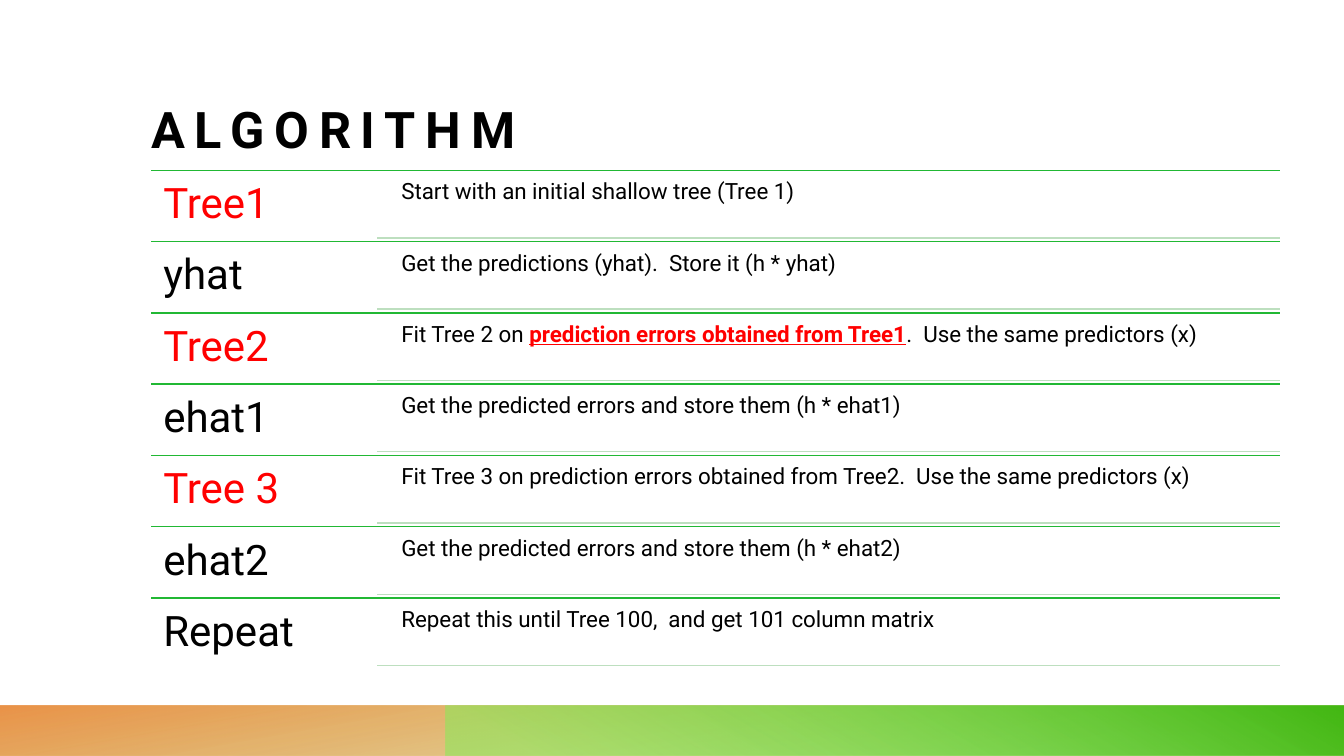
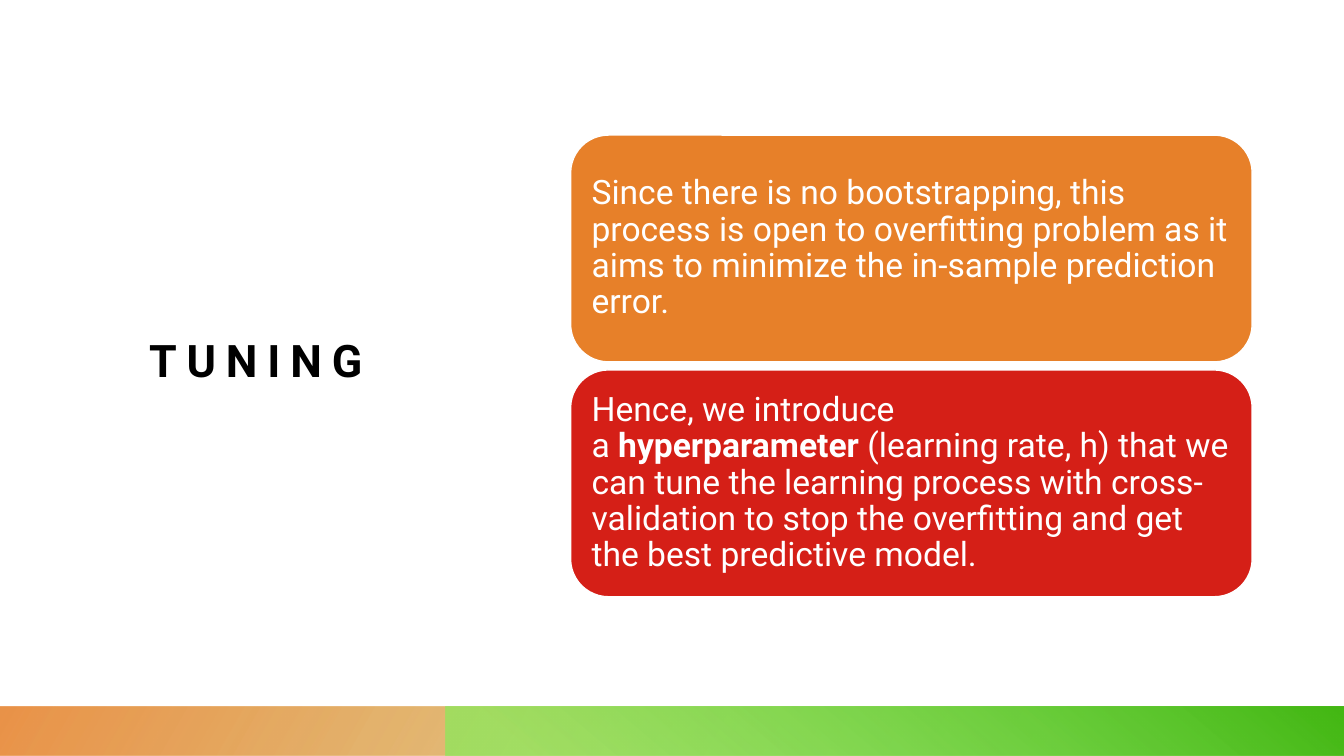
from lxml.etree import SubElement
from pptx import Presentation
from pptx.dml.color import RGBColor
from pptx.enum.shapes import MSO_CONNECTOR as Connector, MSO_SHAPE as Shape
from pptx.enum.text import MSO_ANCHOR as Anchor, PP_ALIGN as Align
from pptx.oxml.ns import qn
from pptx.util import Inches, Pt

FONT = "Roboto"
BLACK, WHITE, RED = "000000", "FFFFFF", "FF0000"
GREEN, PALE_GREEN, ORANGE, DEEP_RED = "21B834", "BDDFBF", "E78029", "D51F17"
PAGE_WIDTH, PAGE_HEIGHT = 13.33, 7.5
BLANK_LAYOUT = 6
HARD_SPACE = chr(160)

STEPS = [
    ("Tree1", RED, ["Start with an initial shallow tree (Tree 1)"]),
    ("yhat", BLACK, ["Get the predictions (yhat).  Store it (h * yhat)"]),
    ("Tree2", RED, [
        "Fit Tree 2 on ",
        ("prediction errors obtained from Tree1",
         {"color": RED, "bold": True, "underline": True}),
        ".  Use the same predictors (x)",
    ]),
    ("ehat1", BLACK, ["Get the predicted errors and store them (h * ehat1)"]),
    ("Tree 3", RED, ["Fit Tree 3 on prediction errors obtained from Tree2.  "
                     "Use the same predictors (x)"]),
    ("ehat2", BLACK, ["Get the predicted errors and store them (h * ehat2)"]),
    ("Repeat", BLACK, ["Repeat this until Tree 100,  and get 101 column matrix"]),
]

CARDS = [
    (ORANGE, ["Since there is no bootstrapping, this process is open to overfitting "
              "problem as it aims to minimize the in-sample prediction error."]),
    (DEEP_RED, [
        "Hence, we introduce a" + HARD_SPACE,
        ("hyperparameter", {"bold": True}),
        HARD_SPACE + "(learning rate, h) that we can tune the learning process with "
        "cross-validation to stop the overfitting and get the best predictive model.",
    ]),
]


def rgb(hex_color):
    return RGBColor.from_string(hex_color)


def set_gradient(shape, stops, angle):
    """Fill with (position %, colour, opacity %) stops; angle is clockwise degrees."""
    shape.fill.gradient()
    gradient = shape._element.spPr.find(qn("a:gradFill"))
    for child in list(gradient):
        gradient.remove(child)
    stop_list = SubElement(gradient, qn("a:gsLst"))
    for position, color, opacity in stops:
        stop = SubElement(stop_list, qn("a:gs"), pos=str(position * 1000))
        tint = SubElement(stop, qn("a:srgbClr"), val=color)
        SubElement(tint, qn("a:alpha"), val=str(opacity * 1000))
    SubElement(gradient, qn("a:lin"), ang=str(angle * 60000), scaled="0")


class Deck:
    def __init__(self):
        self.presentation = Presentation()
        self.presentation.slide_width = Inches(PAGE_WIDTH)
        self.presentation.slide_height = Inches(PAGE_HEIGHT)
        self.slide = None

    def new_slide(self, band_top=7, orange_angle=100, green_angle=240, green_opacity=55):
        layout = self.presentation.slide_layouts[BLANK_LAYOUT]
        self.slide = self.presentation.slides.add_slide(layout)
        self.band(0, band_top, [(14, "B5A114", 28), (100, ORANGE, 85)],
                  orange_angle, rotation=180)
        self.band(4.42, band_top, [(9, "85ED59", green_opacity), (99, "44B814", 100)],
                  green_angle)

    def shape(self, preset, left, top, width, height):
        shape = self.slide.shapes.add_shape(
            preset, Inches(left), Inches(top), Inches(width), Inches(height))
        shape.shadow.inherit = False
        return shape

    def band(self, left, top, stops, angle, rotation=0):
        """Mirrored footer band reaching the right and bottom page edges."""
        band = self.shape(Shape.RECTANGLE, left, top, PAGE_WIDTH - left, PAGE_HEIGHT - top)
        band.line.fill.background()
        band.rotation = rotation
        band._element.spPr.find(qn("a:xfrm")).set("flipH", "1")
        set_gradient(band, stops, angle)

    def set_text(self, shape, parts, size, color=BLACK, bold=False, inset=0.0,
                 anchor=Anchor.TOP, line_spacing=0.9, tracking=0):
        """Fill a shape with one paragraph of strings or (string, format) parts."""
        frame = shape.text_frame
        margin = Inches(inset)
        layout = {"word_wrap": True, "vertical_anchor": anchor,
                  "margin_left": margin, "margin_right": margin,
                  "margin_top": margin, "margin_bottom": margin}
        for name, value in layout.items():
            setattr(frame, name, value)
        paragraph = frame.paragraphs[0]
        paragraph.alignment = Align.LEFT
        paragraph.line_spacing = line_spacing
        for part in parts:
            text, changes = (part, {}) if isinstance(part, str) else part
            style = {"name": FONT, "size": Pt(size), "bold": bold,
                     "color": color, **changes}
            run = paragraph.add_run()
            run.text = text
            run.font.color.rgb = rgb(style.pop("color"))
            for name, value in style.items():
                setattr(run.font, name, value)
            if tracking:
                run._r.get_or_add_rPr().set("spc", str(tracking * 100))

    def text(self, left, top, width, height, parts, size, **style):
        box = self.slide.shapes.add_textbox(
            Inches(left), Inches(top), Inches(width), Inches(height))
        self.set_text(box, parts, size, **style)

    def title(self, left, top, width, height, wording, size, anchor):
        self.text(left, top, width, height, [wording], size, bold=True,
                  anchor=anchor, line_spacing=1.0, tracking=7)

    def rule(self, left, right, y, color):
        rule = self.slide.shapes.add_connector(
            Connector.STRAIGHT, Inches(left), Inches(y), Inches(right), Inches(y))
        rule.line.color.rgb = rgb(color)
        rule.line.width = Pt(1)
        SubElement(rule._element.spPr, qn("a:effectLst"))

    def card(self, left, top, width, height, color, parts):
        card = self.shape(Shape.ROUNDED_RECTANGLE, left, top, width, height)
        card.fill.solid()
        card.fill.fore_color.rgb = rgb(color)
        card.line.color.rgb = rgb(WHITE)
        card.line.width = Pt(1)
        self.set_text(card, parts, 24, color=WHITE, inset=0.1, anchor=Anchor.MIDDLE)


def algorithm_slide(deck):
    deck.new_slide()
    deck.title(1.5, 0.87, 11.2, 0.7, "ALGORITHM", 36, Anchor.BOTTOM)
    left, right, first_top, last_bottom = 1.5, 12.7, 1.69, 6.64
    label_width, text_left, text_height, gap = 2.24, 3.91, 0.64, 0.03
    row_height = (last_bottom - first_top) / len(STEPS)
    for row, (label, color, description) in enumerate(STEPS):
        top = first_top + row * row_height
        deck.rule(left, right, top, GREEN)
        deck.text(left, top, label_width, row_height, [label], 30, color=color, inset=0.12)
        deck.text(text_left, top + gap, right - text_left, text_height,
                  description, 16, inset=0.07)
        deck.rule(left + label_width, right, top + gap + text_height, PALE_GREEN)


def tuning_slide(deck):
    deck.new_slide(band_top=7.01, orange_angle=150, green_angle=230, green_opacity=68)
    deck.title(1.48, 1.12, 3.64, 4.89, "TUNING", 32, Anchor.MIDDLE)
    height, gap = 2.25, 0.08
    for position, (color, parts) in enumerate(CARDS):
        deck.card(5.66, 1.34 + position * (height + gap), 6.76, height, color, parts)


def main():
    deck = Deck()
    algorithm_slide(deck)
    tuning_slide(deck)
    deck.presentation.save("out.pptx")


if __name__ == "__main__":
    main()
